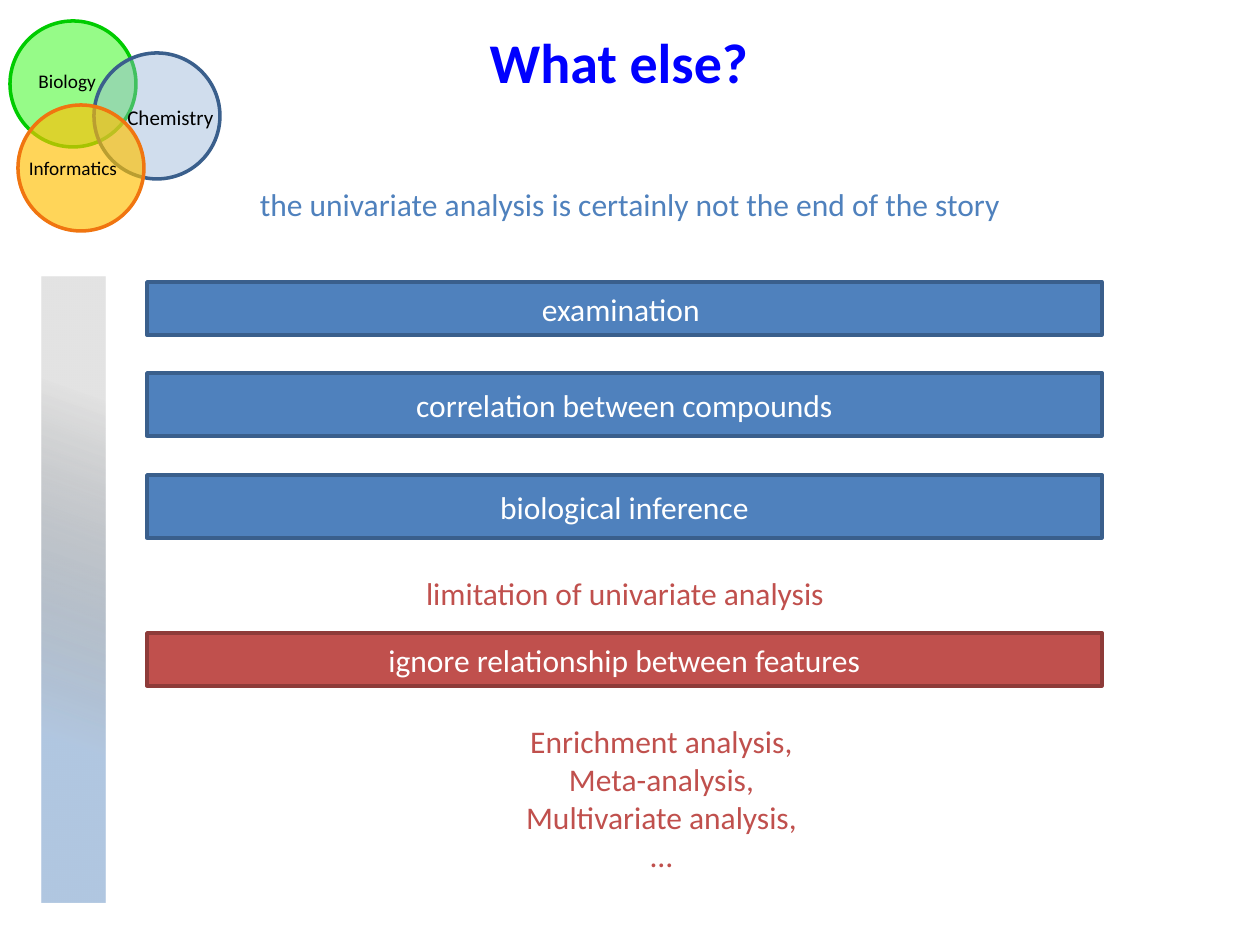
from dataclasses import dataclass

from lxml.etree import SubElement
from pptx import Presentation
from pptx.dml.color import RGBColor as RGB
from pptx.enum.shapes import MSO_SHAPE as Shape
from pptx.enum.text import MSO_ANCHOR as Anchor, MSO_AUTO_SIZE as Fit, PP_ALIGN as Align
from pptx.oxml.ns import qn
from pptx.util import Pt


@dataclass(frozen=True)
class Theme:
    font: str = "Calibri"
    title: str = "0000FF"
    blue: str = "4F81BD"
    navy: str = "3A5F8C"
    red: str = "C0504D"
    wine: str = "8E3B39"
    white: str = "FFFFFF"
    black: str = "000000"
    mist: str = "7AA0CC"
    big: int = 32
    body: int = 18
    label: int = 12
    small: int = 11
    line: int = 2


T = Theme()
DISC = 126  # circle diameter


def px(n):
    """Turn pixels (126 to the inch) into EMU."""
    return round(n * 914400 / 126)


def place(box):
    return [px(n) for n in box]


def fade(node, share):
    """Set the opacity, in percent, of the first RGB colour below node."""
    tint = next(node.iter(qn("a:srgbClr")))
    SubElement(tint, qn("a:alpha"), val=str(share * 1000))


def write(shape, text, color, size=T.body, bold=False, align=Align.CENTER, anchor=Anchor.MIDDLE):
    frame = shape.text_frame
    frame.word_wrap = True
    frame.auto_size = Fit.NONE
    frame.vertical_anchor = anchor
    frame.text = text
    for para in frame.paragraphs:
        para.alignment = align
        for run in para.runs:
            font = run.font
            font.name, font.size, font.bold = T.font, Pt(size), bold
            font.color.rgb = RGB.from_string(color)


def add_form(slide, kind, box, fill, edge):
    shape = slide.shapes.add_shape(kind, *place(box))
    shape.shadow.inherit = False
    shape.fill.solid()
    shape.fill.fore_color.rgb = RGB.from_string(fill)
    shape.line.color.rgb = RGB.from_string(edge)
    shape.line.width = Pt(T.line)
    return shape


def add_text(slide, box, text, color, **style):
    write(slide.shapes.add_textbox(*place(box)), text, color, **style)


def add_disc(slide, x, y, fill, share, edge):
    disc = add_form(slide, Shape.OVAL, (x, y, DISC, DISC), fill, edge)
    fade(disc.fill._xPr.find(qn("a:solidFill")), share)


def add_bar(slide, y, high, text, fill=T.blue, edge=T.navy):
    bar = add_form(slide, Shape.RECTANGLE, (147, y, 955, high), fill, edge)
    write(bar, text, T.white)


def add_strip(slide, box):
    strip = slide.shapes.add_shape(Shape.RECTANGLE, *place(box))
    strip.shadow.inherit = False
    strip.line.fill.background()
    strip.fill.gradient()
    strip.fill.gradient_angle = 70
    stops = strip.fill.gradient_stops
    nodes = strip.fill._xPr.iter(qn("a:gs"))
    looks = ((0.26, T.mist, 58), (0.81, T.black, 11))
    for stop, node, (spot, color, share) in zip(stops, nodes, looks):
        stop.position = spot
        stop.color.rgb = RGB.from_string(color)
        fade(node, share)


def add_title(slide, box, text):
    title = slide.shapes.title
    title.left, title.top, title.width, title.height = place(box)
    write(title, text, T.title, size=T.big, bold=True, anchor=Anchor.TOP)


def main():
    deck = Presentation()
    deck.slide_width, deck.slide_height = px(1260), px(945)
    slide = deck.slides.add_slide(deck.slide_layouts[5])

    # Three overlapping fields, each with its label
    fields = (
        (10, 21, "25F808", 48, "00CC00", "Biology", (26, 63, 110, 37), T.small, Align.LEFT),
        (94, 53, "95B3D7", 44, T.navy, "Chemistry", (115, 98, 116, 38), T.label, Align.LEFT),
        (18, 105, "FFC000", 65, "F07510", "Informatics", (10, 150, 126, 29), T.small, Align.CENTER),
    )
    for x, y, fill, share, edge, name, box, size, align in fields:
        add_disc(slide, x, y, fill, share, edge)
        add_text(slide, box, name, T.black, size=size, align=align, anchor=Anchor.TOP)

    # Side strip and heading
    add_strip(slide, (42, 277, 63, 626))
    add_title(slide, (220, 21, 798, 81), "What else?")
    add_text(slide, (231, 136, 798, 136),
             "the univariate analysis is certainly not the end of the story", T.blue)

    # Next steps
    add_bar(slide, 282, 53, "examination ")
    add_bar(slide, 373, 63, "correlation between compounds")
    add_bar(slide, 475, 63, "biological inference")

    # Limitation and the ways past it
    add_text(slide, (226, 525, 798, 136), "limitation of univariate analysis", T.red)
    add_bar(slide, 633, 53, "ignore relationship between features", T.red, T.wine)
    ways = ("Enrichment analysis,", "Meta-analysis,", "Multivariate analysis,", "…")
    add_text(slide, (378, 714, 567, 168), "\n".join(ways), T.red)

    deck.save("out.pptx")


if __name__ == "__main__":
    main()
